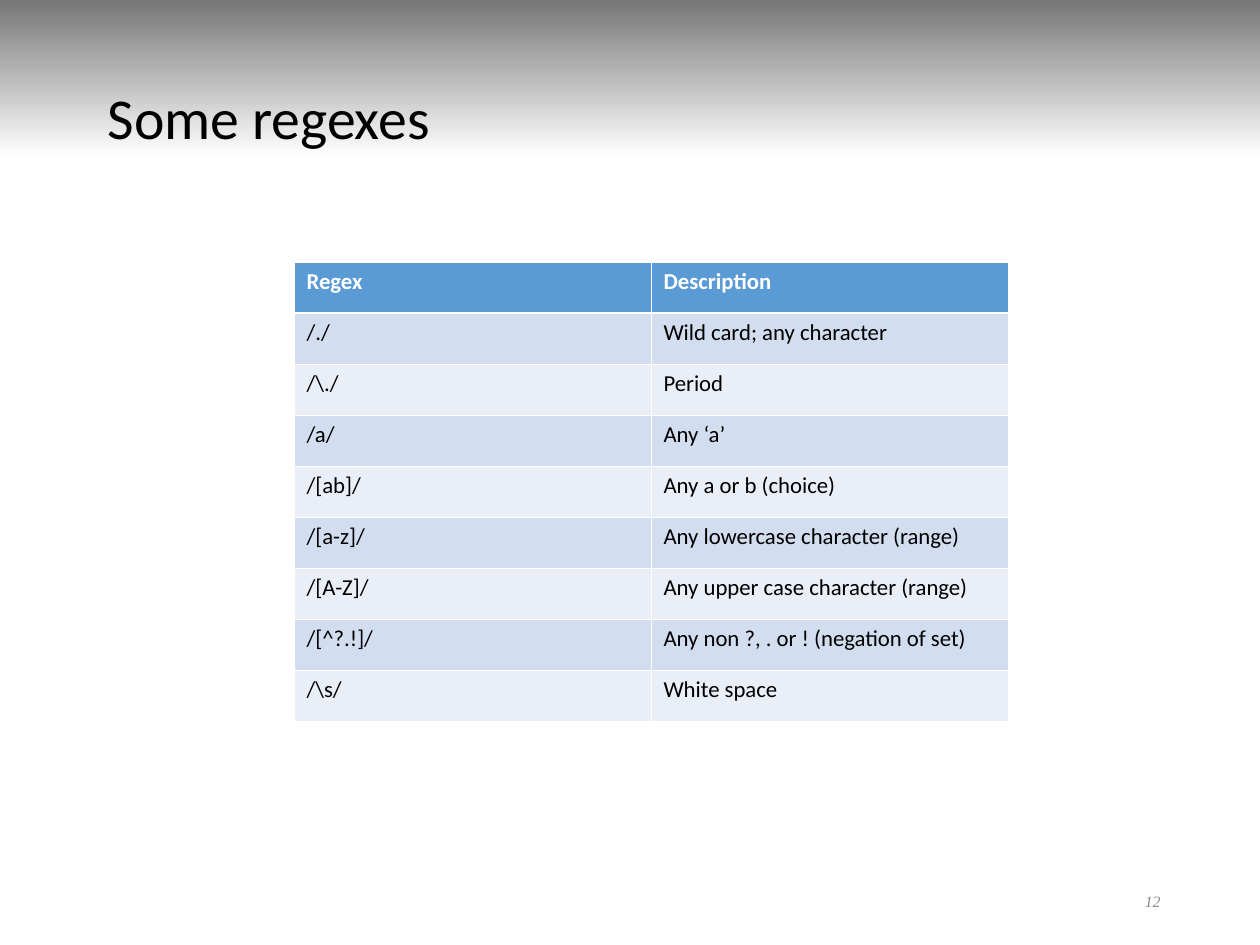
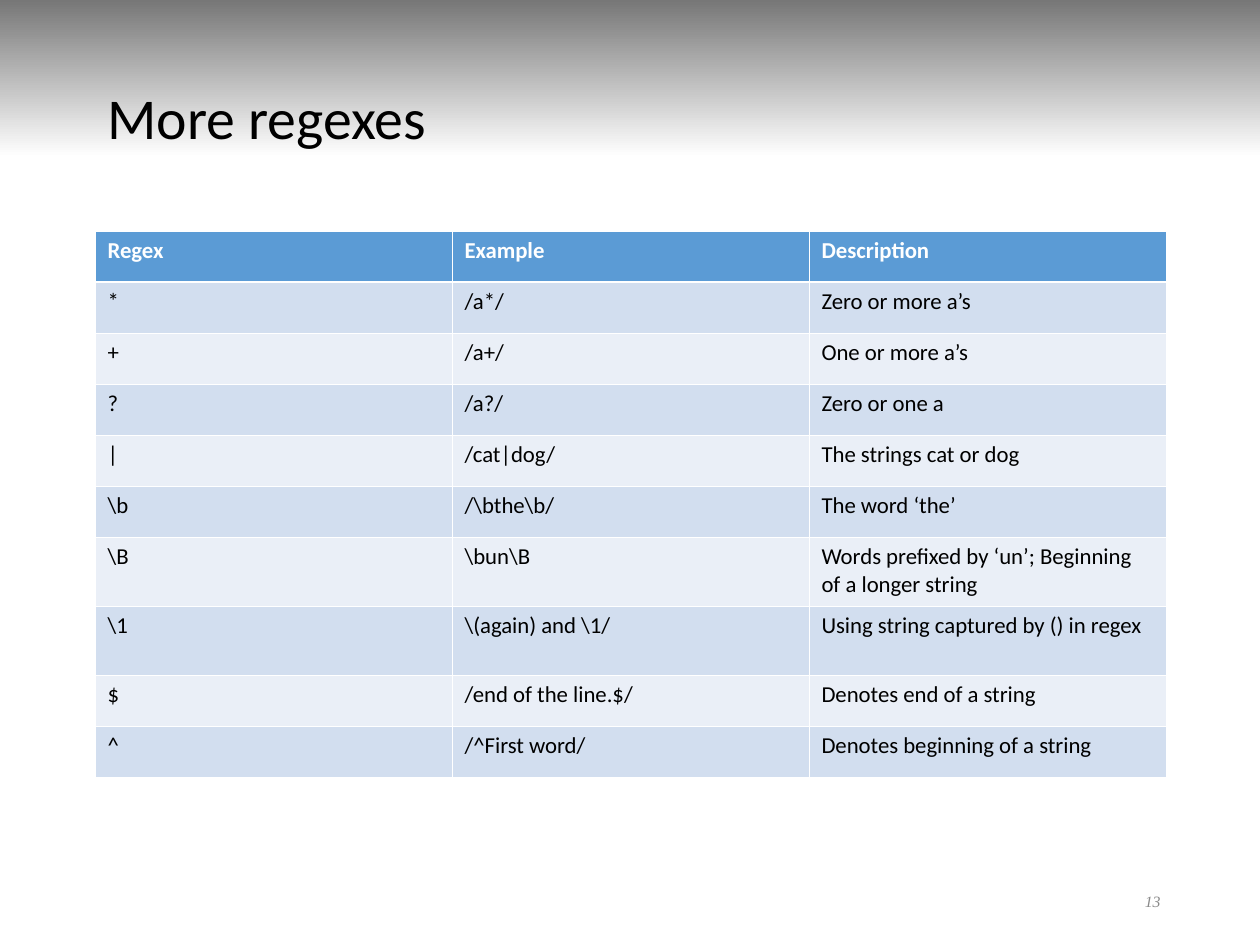
from dataclasses import dataclass

from pptx import Presentation, util as u
from pptx.dml.color import RGBColor
from pptx.enum import shapes, text
from pptx.oxml import parse_xml
from pptx.oxml.ns import nsdecls


@dataclass(frozen=True)
class Theme:
    """Colours, fonts and sizes that both slides share."""
    ink: str = "000000"
    white: str = "FFFFFF"
    shade: str = "777777"
    head: str = "5B9BD5"
    odd: str = "D2DEEF"
    even: str = "EAEFF7"
    note: str = "898989"
    body: str = "Calibri"
    serif: str = "Times New Roman"
    title: int = 33
    cell: int = 13
    foot: int = 9
    thin: float = 0.45
    thick: float = 1.47


T = Theme()
WIDE, HIGH = 1260, 945
COL, ROW, TALL = 357, 51, 69

BASIC = [
    ("Regex", "Description"),
    ("/./", "Wild card; any character"),
    (r"/\./", "Period"),
    ("/a/", "Any ‘a’"),
    ("/[ab]/", "Any a or b (choice)"),
    ("/[a-z]/", "Any lowercase character (range)"),
    ("/[A-Z]/", "Any upper case character (range)"),
    ("/[^?.!]/", "Any non ?, . or ! (negation of set)"),
    (r"/\s/", "White space"),
]
MORE = [
    ("Regex", "Example", "Description"),
    ("*", "/a*/", "Zero or more a’s"),
    ("+", "/a+/", "One or more a’s"),
    ("?", "/a?/", "Zero or one a"),
    ("|", "/cat|dog/", "The strings cat or dog"),
    (r"\b", r"/\bthe\b/", "The word ‘the’"),
    (r"\B", r"\bun\B", "Words prefixed by ‘un’; Beginning of a longer string"),
    (r"\1", r"\(again) and \1/", "Using string captured by () in regex"),
    ("$", "/end of the line.$/", "Denotes end of a string"),
    ("^", "/^First word/", "Denotes beginning of a string"),
]


def px(n):
    return u.Emu(round(n * 914400 / 126))


def rgb(code):
    return RGBColor.from_string(code)


def put(frame, words, size=T.cell, font=T.body, color=T.ink, bold=False,
        italic=False, align=text.PP_ALIGN.LEFT, lead=None):
    """Write one formatted paragraph."""
    par = frame.paragraphs[0]
    par.alignment = align
    if lead:
        par.line_spacing = lead
    run = par.add_run()
    run.text = words
    face = run.font
    face.name, face.size = font, u.Pt(size)
    face.bold, face.italic = bold, italic
    face.color.rgb = rgb(color)


def add_band(slide):
    """Draw the top gradient and move it to the shared layout."""
    band = slide.shapes.add_shape(
        shapes.MSO_SHAPE.RECTANGLE, 0, 0, px(WIDE), px(157))
    band.shadow.inherit = False
    band.line.fill.background()
    band.fill.gradient()
    band.fill.gradient_angle = 270
    for stop, code in zip(band.fill.gradient_stops, (T.shade, T.white)):
        stop.color.rgb = rgb(code)
    slide.slide_layout.shapes.element.insert(2, band.element)


def add_title(slide, words):
    box = slide.shapes.title
    box.left, box.top, box.width, box.height = map(px, (95, 42, 1071, 157))
    frame = box.text_frame
    frame.auto_size = text.MSO_AUTO_SIZE.NONE
    frame.vertical_anchor = text.MSO_ANCHOR.MIDDLE
    put(frame, words, size=T.title, lead=0.9)


def add_page(slide, num):
    box = slide.shapes.add_textbox(*map(px, (889, 876, 284, 50)))
    frame = box.text_frame
    frame.word_wrap = True
    frame.vertical_anchor = text.MSO_ANCHOR.MIDDLE
    put(frame, str(num), size=T.foot, font=T.serif, color=T.note,
        italic=True, align=text.PP_ALIGN.RIGHT)


def edge(cell, row):
    """Add white borders, thicker between the header and the body."""
    props = cell._tc.get_or_add_tcPr()
    heavy = {0: "B", 1: "T"}.get(row)
    for side in "LRTB":
        width = u.Pt(T.thick if side == heavy else T.thin)
        props.append(parse_xml(
            f'<a:ln{side} {nsdecls("a")} w="{width}"><a:solidFill>'
            f'<a:srgbClr val="{T.white}"/></a:solidFill></a:ln{side}>'))


def add_grid(slide, left, top, rows, tall=()):
    cols = len(rows[0])
    highs = [TALL if i in tall else ROW for i in range(len(rows))]
    grid = slide.shapes.add_table(
        len(rows), cols, px(left), px(top), px(COL * cols), px(sum(highs))).table
    for i, row in enumerate(rows):
        grid.rows[i].height = px(highs[i])
        top_row = i == 0
        fill = T.head if top_row else T.odd if i % 2 else T.even
        for j, words in enumerate(row):
            cell = grid.cell(i, j)
            edge(cell, i)
            cell.fill.solid()
            cell.fill.fore_color.rgb = rgb(fill)
            put(cell.text_frame, words, bold=top_row,
                color=T.white if top_row else T.ink)


def add_slide(deck, title, num):
    slide = deck.slides.add_slide(deck.slide_layouts[5])
    add_title(slide, title)
    add_page(slide, num)
    return slide


def main():
    deck = Presentation()
    deck.slide_width, deck.slide_height = px(WIDE), px(HIGH)

    # Basic patterns
    first = add_slide(deck, "Some regexes", 12)
    add_band(first)
    add_grid(first, 294, 262, BASIC)

    # Operators and anchors
    more = add_slide(deck, "More regexes", 13)
    add_grid(more, 95, 231, MORE, tall=(6, 7))

    deck.save("out.pptx")


if __name__ == "__main__":
    main()
